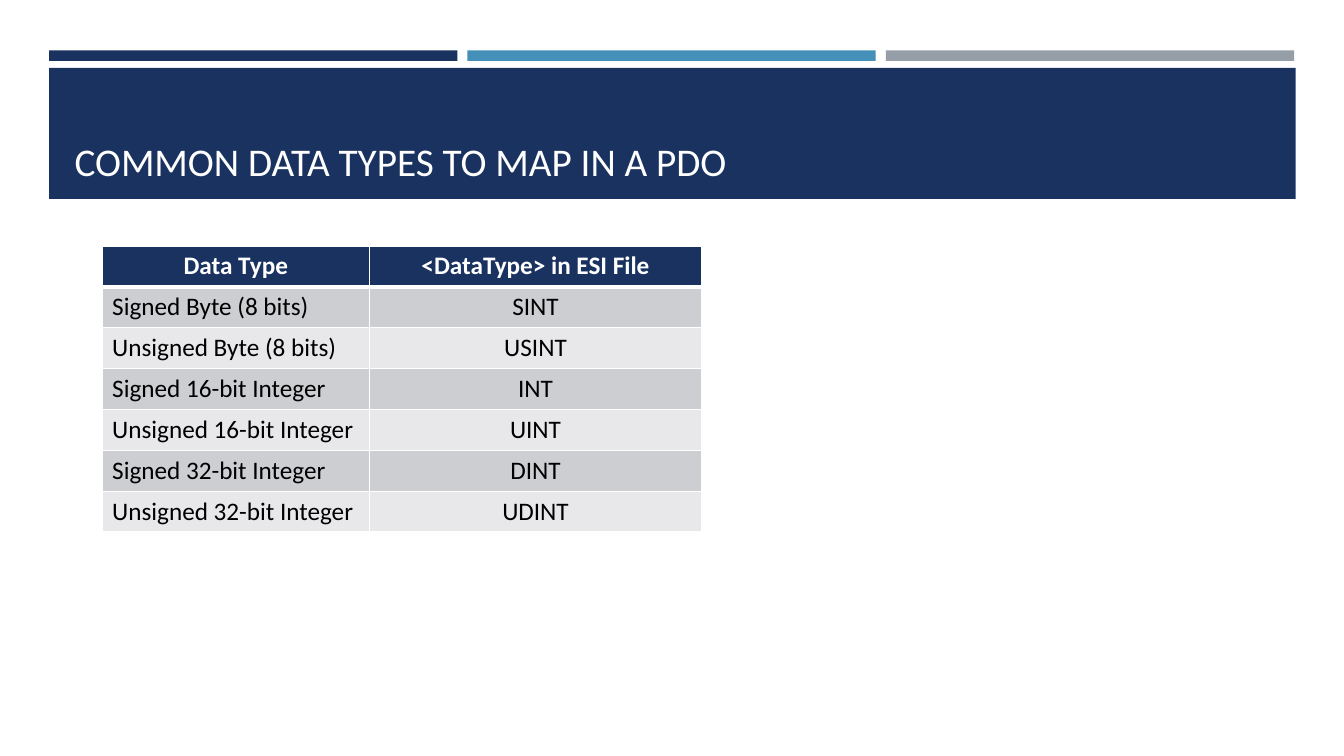
"""Build a slide listing the common data types to map in a PDO."""
from typing import NamedTuple

from lxml import etree
from pptx import Presentation
from pptx import util as u
from pptx.dml import color
from pptx.enum import shapes, text
from pptx.oxml import ns

COLORS = {"navy": "1A3260", "blue": "4590B8", "gray": "969FA7", "white": "FFFFFF",
          "black": "000000", "odd": "CDCED2", "even": "E8E8EA"}
FONT = "Calibri"
WIDTH, HEIGHT = u.Inches(13.33), u.Inches(7.5)
BAR_LEFT, BAR_PITCH = 3.65, 31.13
COLUMNS, ROW = (19.9, 24.7), 5.41
ROWS = (
    ("Data Type", "<DataType> in ESI File"),
    ("Signed Byte (8 bits)", "SINT"),
    ("Unsigned Byte (8 bits)", "USINT"),
    ("Signed 16-bit Integer", "INT"),
    ("Unsigned 16-bit Integer", "UINT"),
    ("Signed 32-bit Integer", "DINT"),
    ("Unsigned 32-bit Integer", "UDINT"),
)


class Box(NamedTuple):
    """Position and size in percent of the slide."""
    x: float
    y: float
    w: float
    h: float

    def emu(self) -> tuple[int, int, int, int]:
        return across(self.x), down(self.y), across(self.w), down(self.h)


class Panel(NamedTuple):
    """A filled rectangle."""
    box: Box
    fill: str


def across(percent: float) -> int:
    return round(WIDTH * percent / 100)


def down(percent: float) -> int:
    return round(HEIGHT * percent / 100)


def rgb(name: str) -> color.RGBColor:
    return color.RGBColor.from_string(COLORS[name])


def write(tf, words: str, *, size: float, fill: str, bold: bool = False,
          align=text.PP_ALIGN.LEFT) -> None:
    p = tf.paragraphs[0]
    p.alignment = align
    r = p.add_run()
    r.text = words
    r.font.name, r.font.size, r.font.bold = FONT, u.Pt(size), bold
    r.font.color.rgb = rgb(fill)


def add_panel(s, panel: Panel) -> None:
    sp = s.shapes.add_shape(shapes.MSO_SHAPE.RECTANGLE, *panel.box.emu())
    sp.shadow.inherit = False
    sp.fill.solid()
    sp.fill.fore_color.rgb = rgb(panel.fill)
    sp.line.fill.background()


def add_title(s, words: str, box: Box) -> None:
    sp = s.shapes.title
    sp.left, sp.top, sp.width, sp.height = box.emu()
    tf = sp.text_frame
    tf.word_wrap = True
    tf.auto_size = text.MSO_AUTO_SIZE.NONE
    tf.vertical_anchor = text.MSO_ANCHOR.BOTTOM
    write(tf, words, size=28, fill="white")
    sp.element.getparent().append(sp.element)


def set_borders(cell, row: int) -> None:
    tc_pr = cell._tc.get_or_add_tcPr()
    points = {"L": 1, "R": 1, "T": 3 if row == 1 else 1, "B": 3 if row == 0 else 1}
    for side, width in points.items():
        ln = etree.SubElement(tc_pr, ns.qn(f"a:ln{side}"), w=str(u.Pt(width)))
        fill = etree.SubElement(ln, ns.qn("a:solidFill"))
        etree.SubElement(fill, ns.qn("a:srgbClr"), val=COLORS["white"])


def add_types_table(s, x: float, y: float) -> None:
    box = Box(x, y, sum(COLUMNS), ROW * len(ROWS))
    table = s.shapes.add_table(len(ROWS), len(COLUMNS), *box.emu()).table
    table.horz_banding = False
    for column, width in zip(table.columns, COLUMNS):
        column.width = across(width)
    for i, words in enumerate(ROWS):
        table.rows[i].height = down(ROW)
        header = i == 0
        for j, word in enumerate(words):
            cell = table.cell(i, j)
            set_borders(cell, i)
            cell.fill.solid()
            cell.fill.fore_color.rgb = rgb("navy" if header else "odd" if i % 2 else "even")
            centred = header or j == 1
            write(cell.text_frame, word, size=18, bold=header,
                  fill="white" if header else "black",
                  align=text.PP_ALIGN.CENTER if centred else text.PP_ALIGN.LEFT)


def main() -> None:
    prs = Presentation()
    prs.slide_width, prs.slide_height = WIDTH, HEIGHT
    s = prs.slides.add_slide(prs.slide_layouts[5])
    for i, fill in enumerate(("navy", "blue", "gray")):
        add_panel(s, Panel(Box(BAR_LEFT + i * BAR_PITCH, 6.67, 30.38, 1.4), fill))
    add_panel(s, Panel(Box(BAR_LEFT, 8.99, 92.75, 17.33), "navy"))
    add_title(s, "COMMON DATA TYPES TO MAP IN A PDO", Box(4.8, 10.27, 90.47, 14.8))
    add_types_table(s, 7.6, 32.53)
    prs.save("out.pptx")


if __name__ == "__main__":
    main()
